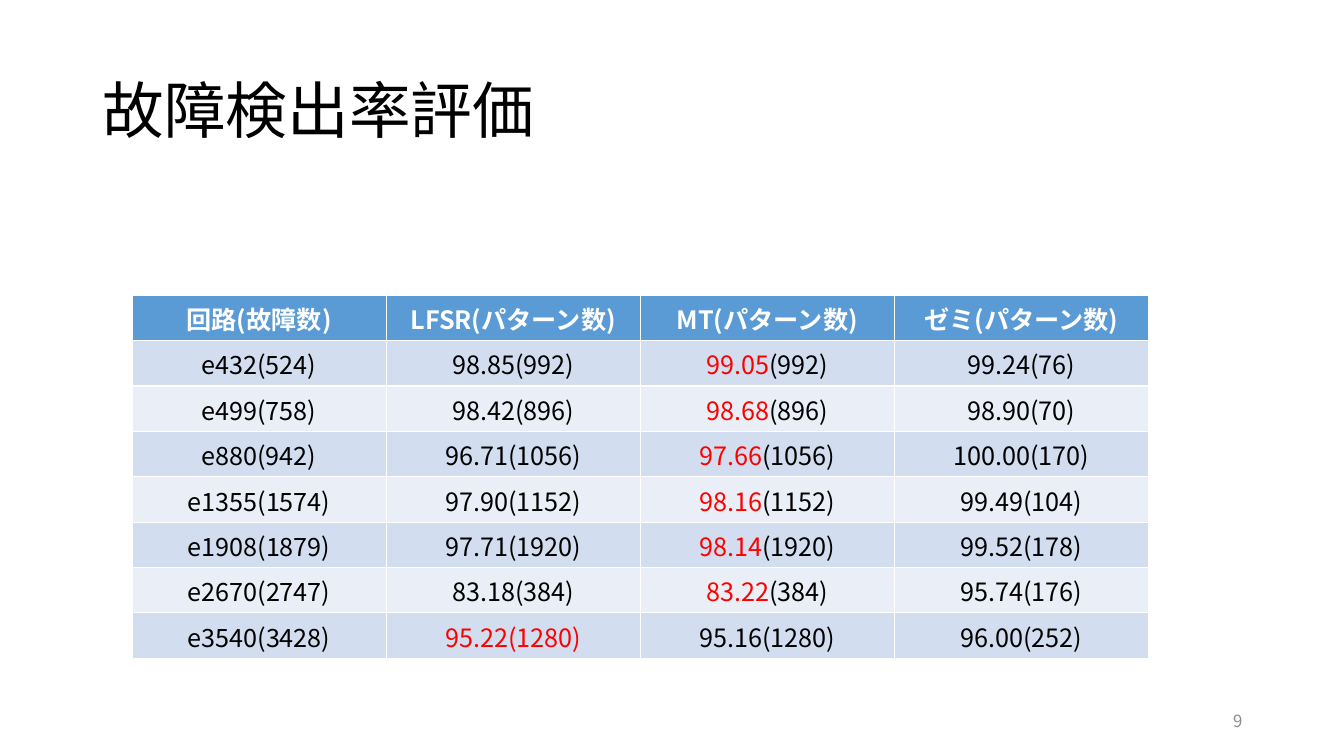
from lxml.etree import SubElement
from pptx import Presentation
from pptx.dml.color import RGBColor
from pptx.enum.text import MSO_ANCHOR, PP_ALIGN
from pptx.oxml.ns import qn
from pptx.util import Inches, Pt

TITLE = "故障検出率評価"
PAGE_NUMBER = "9"
HEADER = ["回路(故障数)", "LFSR(パターン数)", "MT(パターン数)", "ゼミ(パターン数)"]
# A tuple holds the highlighted part of a result and the rest of it.
RESULTS = [
    ["e432(524)", "98.85(992)", ("99.05", "(992)"), "99.24(76)"],
    ["e499(758)", "98.42(896)", ("98.68", "(896)"), "98.90(70)"],
    ["e880(942)", "96.71(1056)", ("97.66", "(1056)"), "100.00(170)"],
    ["e1355(1574)", "97.90(1152)", ("98.16", "(1152)"), "99.49(104)"],
    ["e1908(1879)", "97.71(1920)", ("98.14", "(1920)"), "99.52(178)"],
    ["e2670(2747)", "83.18(384)", ("83.22", "(384)"), "95.74(176)"],
    ["e3540(3428)", ("95.22(1280)", ""), "95.16(1280)", "96.00(252)"],
]

FONT = "Noto Sans CJK JP"
BLACK, WHITE, RED, GREY = "000000", "FFFFFF", "FF0000", "8C8C8C"
HEADER_FILL = "5B9BD5"
BAND_FILLS = ["D2DEEF", "EAEFF7"]
COLUMN_WIDTH, ROW_HEIGHT = 2.52, 0.45


def color(hex_code):
    return RGBColor.from_string(hex_code)


def format_run(run, size, hex_code, bold=False):
    """Style a run, with the same font for Latin and Japanese letters."""
    run.font.name = FONT
    run.font.size = Pt(size)
    run.font.bold = bold
    run.font.color.rgb = color(hex_code)
    SubElement(run.font._element, qn("a:ea"), typeface=FONT)


def add_text(slide, text, box, size, hex_code, align):
    frame = slide.shapes.add_textbox(*map(Inches, box)).text_frame
    frame.word_wrap = True
    frame.vertical_anchor = MSO_ANCHOR.MIDDLE
    paragraph = frame.paragraphs[0]
    paragraph.text = text
    paragraph.alignment = align
    format_run(paragraph.runs[0], size, hex_code)
    return paragraph


def fill_cell(cell, content, fill, hex_code, bold):
    cell.fill.solid()
    cell.fill.fore_color.rgb = color(fill)
    highlight, rest = content if isinstance(content, tuple) else ("", content)
    paragraph = cell.text_frame.paragraphs[0]
    paragraph.alignment = PP_ALIGN.CENTER
    for text, text_color in ((highlight, RED), (rest, hex_code)):
        if text:
            run = paragraph.add_run()
            run.text = text
            format_run(run, 18, text_color, bold)


def add_results_table(slide):
    rows = [HEADER] + RESULTS
    table = slide.shapes.add_table(
        len(rows), len(HEADER), Inches(1.31), Inches(2.93),
        Inches(COLUMN_WIDTH * len(HEADER)), Inches(ROW_HEIGHT * len(rows))).table
    for r, row in enumerate(rows):
        is_header = r == 0
        fill = HEADER_FILL if is_header else BAND_FILLS[(r - 1) % 2]
        for c, content in enumerate(row):
            fill_cell(table.cell(r, c), content, fill,
                      WHITE if is_header else BLACK, is_header)


def main():
    presentation = Presentation()
    presentation.slide_width = Inches(13.33)
    presentation.slide_height = Inches(7.5)
    slide = presentation.slides.add_slide(presentation.slide_layouts[6])
    title = add_text(slide, TITLE, (0.92, 0.4, 11.5, 1.45), 44, BLACK, PP_ALIGN.LEFT)
    title.line_spacing = 0.9
    add_text(slide, PAGE_NUMBER, (9.42, 6.95, 3, 0.4), 12, GREY, PP_ALIGN.RIGHT)
    add_results_table(slide)
    presentation.save("out.pptx")


if __name__ == "__main__":
    main()
